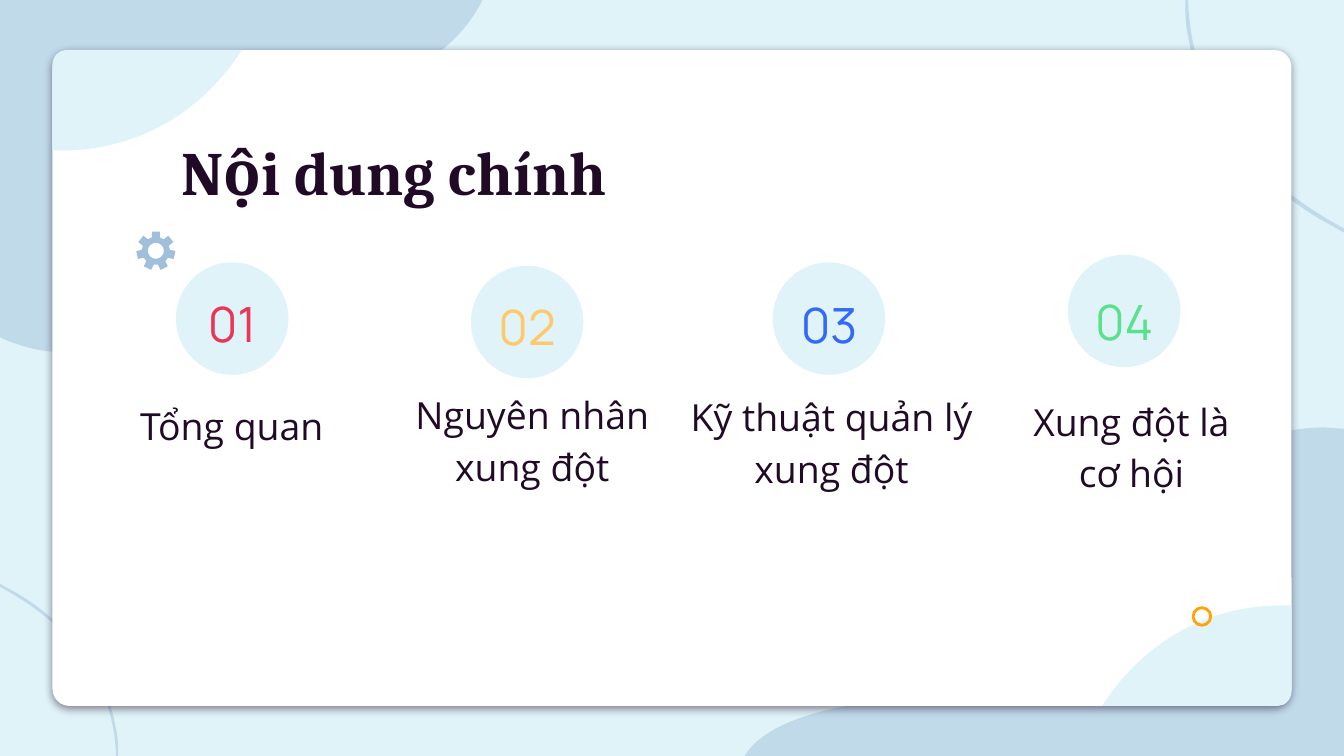
from math import cos, radians, sin

from lxml.etree import SubElement
from pptx import Presentation
from pptx.dml.color import RGBColor
from pptx.enum.shapes import MSO_SHAPE as Preset
from pptx.enum.text import MSO_ANCHOR as Anchor, MSO_AUTO_SIZE as AutoSize, PP_ALIGN as Align
from pptx.oxml.ns import qn
from pptx.util import Pt

WIDTH, HEIGHT = 720, 405
COLORS = {
    "pale": "DFF3F8", "blue": "A0BFDB", "white": "FFFFFF", "ink": "210A26", "orange": "FFA406",
    "red": "EA3554", "yellow": "FFC86A", "royal": "3169F8", "green": "5BE18E",
}
HEADING = "Nội dung chính"
TOPICS = [
    dict(number="01", color="red", label="Tổng quan",
         disc=(94.3, 140.6), number_top=147.2, label_box=(33.8, 176.4, 180.7)),
    dict(number="02", color="yellow", label="Nguyên nhân xung đột",
         disc=(252.3, 142.4), number_top=149.2, label_box=(194.8, 198.3, 180.7)),
    dict(number="03", color="royal", label="Kỹ thuật quản lý xung đột",
         disc=(414, 140.6), number_top=148, label_box=(362, 199.4, 167)),
    dict(number="04", color="green", label="Xung đột là cơ hội",
         disc=(572.2, 136.5), number_top=146.2, label_box=(534.2, 201.9, 144)),
]
CARD = (28.1, 26.8, 663.8, 351.4)
DISC, NUMBER_WIDTH, NUMBER_HEIGHT, LABEL_HEIGHT = 60.2, 180.7, 46.8, 70.6

ARC = [
    (636.5, 0), (637.2, 25.9, 645.8, 52.6, 661, 73.4), (676.8, 94.3, 697, 110.2, 720, 122.4),
    (720, 124.6), (717.1, 123.1, 715, 121.7, 712.1, 120.2),
    (693.4, 110.2, 676.8, 95.8, 663.1, 79.2), (649.4, 61.9, 640.1, 41, 636.5, 19.4),
    (635, 13, 635, 6.5, 635, 0),
]
LEFT_BLOB = [
    (32.4, 188.6), (15.8, 188.6, 0, 180.7, 0, 180.7), (0, 0), (258.5, 0),
    (225.4, 65.5, 123.1, 52.6, 80.6, 65.5), (38.2, 78.5, 85, 141.1, 61.9, 174.2),
    (54, 185.8, 43.2, 188.6, 32.4, 188.6),
]
RIGHT_BLOB = [
    (398.9, 405), (410.4, 385.9, 449.3, 373.7, 512.6, 373.7),
    (514.8, 373.7, 517, 373.7, 519.8, 373.7), (520.6, 373.7, 521.3, 373.7, 522, 373.7),
    (617, 373.7, 576.7, 290.2, 647.3, 246.2), (666, 234.7, 691.2, 229, 709.2, 229),
    (713.5, 229, 717.1, 229.7, 720, 229.7), (720, 405),
]
CORNER = [
    (129.6, 26.8), (103, 67.7, 64.8, 80.6, 33.8, 80.6), (31.7, 80.6, 30.2, 80.6, 28.1, 80.6),
    (28.1, 34.6), (28.1, 30.2, 31.7, 26.8, 35.3, 26.8),
]


def turned(outline, scale_x=1, scale_y=1):
    return [tuple(scale_x * (WIDTH - v) if i % 2 == 0 else HEIGHT - scale_y * v
                  for i, v in enumerate(step)) for step in outline]


def polar(center, radius, degrees):
    angle = radians(degrees)
    return center[0] + radius * cos(angle), center[1] + radius * sin(angle)


def circle(center, radius):
    x, y = center
    bend = 0.55 * radius
    return [
        (x, y - radius),
        (x - bend, y - radius, x - radius, y - bend, x - radius, y),
        (x - radius, y + bend, x - bend, y + radius, x, y + radius),
        (x + bend, y + radius, x + radius, y + bend, x + radius, y),
        (x + radius, y - bend, x + bend, y - radius, x, y - radius),
    ]


def rgb(name):
    return RGBColor.from_string(COLORS[name])


def paint(shape, color, alpha=None):
    shape.shadow.inherit = False
    shape.fill.solid()
    shape.fill.fore_color.rgb = rgb(color)
    shape.line.fill.background()
    if alpha:
        fill_color = shape.element.spPr.find(qn("a:solidFill"))[0]
        SubElement(fill_color, qn("a:alpha"), val=str(alpha * 1000))


def draw(shapes, contours, color, alpha=None):
    builder = None
    for start, *steps in contours:
        start = tuple(map(Pt, start))
        if builder is None:
            builder = shapes.build_freeform(*start)
        else:
            builder.move_to(*start)
        points = [(Pt(step[i]), Pt(step[i + 1])) for step in steps for i in range(0, len(step), 2)]
        builder.add_line_segments(points, close=True)
    shape = builder.convert_to_shape()
    segments = iter(list(shape.element.iter(qn("a:lnTo"))))
    for _, *steps in contours:
        for step in steps:
            group = [next(segments) for _ in range(len(step) // 2)]
            if len(group) == 3:
                group[0].tag = qn("a:cubicBezTo")
                for control in group[1:]:
                    group[0].append(control[0])
                    control.getparent().remove(control)
    paint(shape, color, alpha)


def add_preset(shapes, preset, box, color):
    shape = shapes.add_shape(preset, *map(Pt, box))
    paint(shape, color)
    return shape


def write(holder, text, font, size, color, anchor, align=Align.CENTER, bold=False):
    frame = holder.text_frame
    frame.word_wrap = True
    frame.auto_size = AutoSize.NONE
    frame.vertical_anchor = anchor
    frame.margin_left = frame.margin_right = frame.margin_top = frame.margin_bottom = Pt(7.2)
    paragraph = frame.paragraphs[0]
    paragraph.alignment = align
    paragraph.line_spacing = 1.15
    run = paragraph.add_run()
    run.text = text
    run.font.name, run.font.size, run.font.bold = font, Pt(size), bold
    run.font.color.rgb = rgb(color)


def add_card(shapes):
    card = add_preset(shapes, Preset.ROUNDED_RECTANGLE, CARD, "white")
    card.adjustments[0] = 0.026
    effects = card.element.spPr.find(qn("a:effectLst"))
    shadow = SubElement(effects, qn("a:outerShdw"), blurRad=str(Pt(4.5)), dist=str(Pt(1.5)),
                        dir="5400000", algn="bl", rotWithShape="0")
    shade = SubElement(shadow, qn("a:srgbClr"), val=COLORS["ink"])
    SubElement(shade, qn("a:alpha"), val="50000")
    return card


def add_gear(shapes, center=(83.5, 134.4), teeth=7):
    rim = []
    for tooth in range(teeth):
        middle = -90 + tooth * 360 / teeth
        rim += [polar(center, radius, middle + offset)
                for radius, offset in ((7.5, -17), (10.5, -12), (10.5, 12), (7.5, 17))]
    draw(shapes, [rim, circle(center, 4.3)], "blue")


def main():
    deck = Presentation()
    deck.slide_width, deck.slide_height = Pt(WIDTH), Pt(HEIGHT)
    slide = deck.slides.add_slide(deck.slide_layouts[5])
    slide.background.fill.solid()
    slide.background.fill.fore_color.rgb = rgb("pale")
    shapes = slide.shapes

    for outline in (ARC, LEFT_BLOB, RIGHT_BLOB, turned(ARC, 0.745, 0.74)):
        draw(shapes, [outline], "blue", alpha=48)
    card = add_card(shapes)
    for outline in (CORNER, turned(CORNER)):
        draw(shapes, [outline], "pale")

    heading = shapes.title
    card.element.addnext(heading.element)
    heading.left, heading.top, heading.width, heading.height = map(Pt, (90, 58.7, 607.7, 56.2))
    write(heading, HEADING, "Cambria", 33, "ink", Anchor.TOP, Align.LEFT, bold=True)

    for topic in TOPICS:
        left, top = topic["disc"]
        add_preset(shapes, Preset.OVAL, (left, top, DISC, DISC), "pale")
        number_left = left + (DISC - NUMBER_WIDTH) / 2
        number = shapes.add_textbox(Pt(number_left), Pt(topic["number_top"]),
                                    Pt(NUMBER_WIDTH), Pt(NUMBER_HEIGHT))
        write(number, topic["number"], "Manrope", 26, topic["color"], Anchor.MIDDLE)
        label = shapes.add_textbox(*map(Pt, (*topic["label_box"], LABEL_HEIGHT)))
        write(label, topic["label"], "Open Sans", 20, "ink", Anchor.BOTTOM)

    add_gear(shapes)
    ring = add_preset(shapes, Preset.OVAL, (639.2, 325.6, 9.4, 9.4), "white")
    ring.fill.background()
    ring.line.color.rgb = rgb("orange")
    ring.line.width = Pt(1.5)
    deck.save("out.pptx")


if __name__ == "__main__":
    main()
